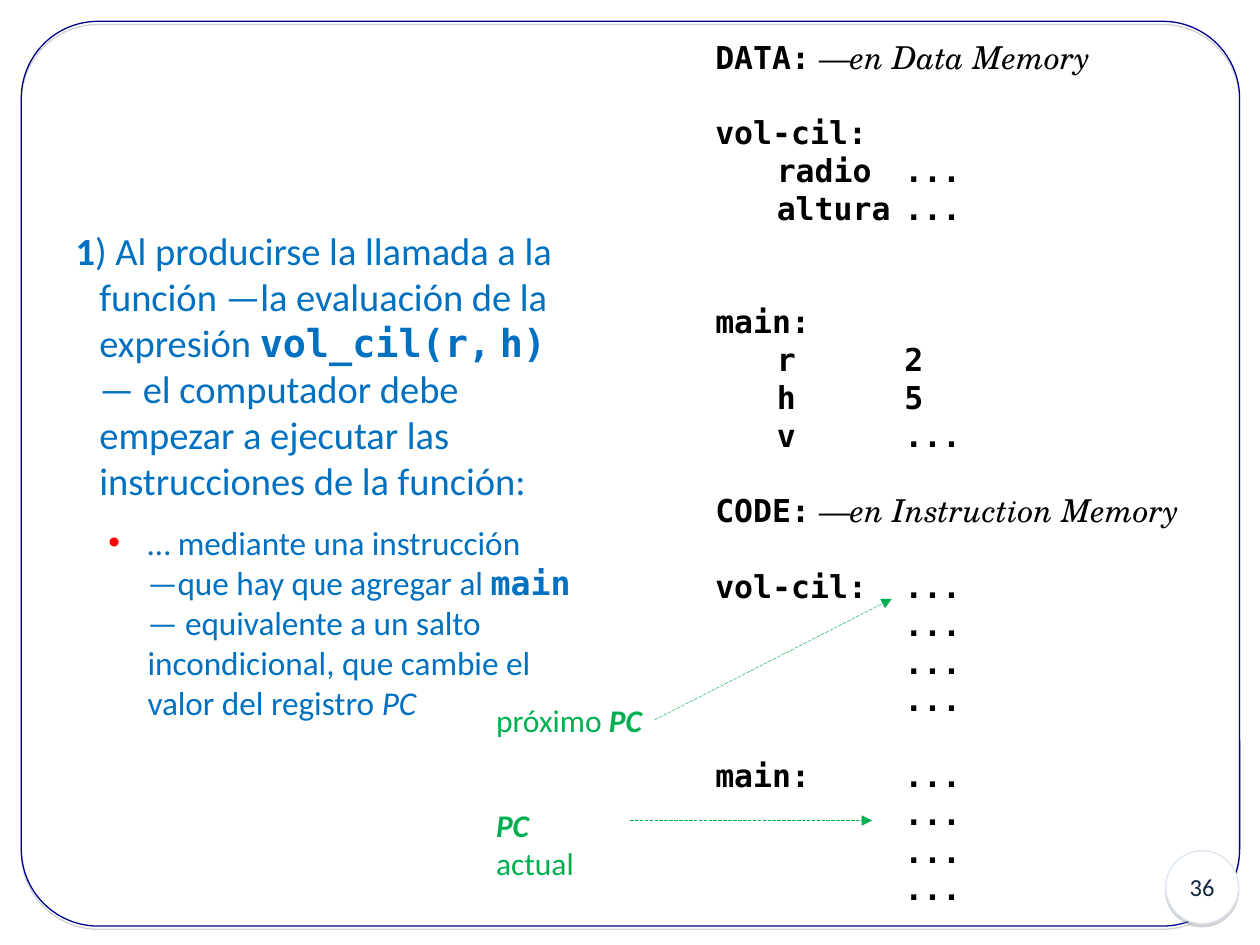
import pptx
import pptx.dml.color
import pptx.enum.dml
import pptx.enum.shapes
import pptx.enum.text
import pptx.oxml
import pptx.oxml.ns
import pptx.util
from pptx.util import Cm

COLORS = {
    "frame": "000090", "badge": "FFFFFF", "badge_line": "DCE6F2", "badge_text": "10253F",
    "body": "0070C0", "bullet": "FF0000", "code": "000000", "pointer": "00B050",
    "shadow": "808080",
}
SANS, MONO, SERIF = "Calibri", "DejaVu Sans Mono", "TeX Gyre Schola"
CODE_LEADING = 21.6
CODE_TABS = (Cm(1.24), Cm(3.81))

DATA_ROWS = [
    (0, "DATA:", "en Data Memory"),
    (1, "vol-cil:", ""),
    (0, "\tradio\t...", ""),
    (0, "\taltura\t...", ""),
    (2, "main:", ""),
    (0, "\tr\t2", ""),
    (0, "\th\t5", ""),
    (0, "\tv\t...", ""),
]
CONTINUATION = [(0, "\t\t...", "")] * 3
CODE_ROWS = [
    (1, "CODE:", "en Instruction Memory"),
    (1, "vol-cil:\t...", ""), *CONTINUATION,
    (1, "main:\t...", ""), *CONTINUATION,
]


def rgb(name):
    """Return the named colour."""
    return pptx.dml.color.RGBColor.from_string(COLORS[name])


def add_xml(parent, tag, content="", **attributes):
    """Append a drawing element and return it."""
    listed = " ".join(f'{key}="{value}"' for key, value in attributes.items())
    namespace = pptx.oxml.ns.nsdecls("a")
    element = pptx.oxml.parse_xml(f"<a:{tag} {namespace} {listed}>{content}</a:{tag}>")
    parent.append(element)
    return element


def add_run(paragraph, text, size, color, font=SANS, bold=False, italic=False):
    """Add one formatted run."""
    run = paragraph.add_run()
    run.text = text
    run.font.size = pptx.util.Pt(size)
    run.font.name = font
    run.font.bold = bold
    run.font.italic = italic
    run.font.color.rgb = rgb(color)


def add_shadowed_shape(slide, kind, box, line, fill=None):
    """Add an outlined preset shape with a soft drop shadow."""
    shape = slide.shapes.add_shape(kind, *box)
    if fill:
        shape.fill.solid()
        shape.fill.fore_color.rgb = rgb(fill)
    else:
        shape.fill.background()
    shape.line.color.rgb = rgb(line)
    shape.line.width = pptx.util.Pt(0.75)
    shape.shadow.inherit = False
    effects = shape._element.spPr.find(pptx.oxml.ns.qn("a:effectLst"))
    tint = f'<a:srgbClr val="{COLORS["shadow"]}"><a:alpha val="35000"/></a:srgbClr>'
    add_xml(effects, "outerShdw", tint, dist=pptx.util.Pt(1.8), dir=5400000, rotWithShape=0)
    return shape


def format_paragraph(paragraph, leading, before, margin, indent):
    """Set the spacing and indents of a body paragraph."""
    paragraph.line_spacing = pptx.util.Pt(leading)
    paragraph.space_before = pptx.util.Pt(before)
    properties = paragraph._p.get_or_add_pPr()
    properties.set("marL", str(margin))
    properties.set("indent", str(indent))
    return properties


def fill_body(body):
    """Write the explanation into the body placeholder."""
    body.left, body.top, body.width, body.height = Cm(1.27), Cm(0.84), Cm(10.49), Cm(17.45)
    frame = body.text_frame
    frame.word_wrap = True
    frame.auto_size = pptx.enum.text.MSO_AUTO_SIZE.NONE
    frame.vertical_anchor = pptx.enum.text.MSO_ANCHOR.MIDDLE

    step = frame.paragraphs[0]
    add_xml(format_paragraph(step, 26.4, 0, Cm(0.48), Cm(-0.48)), "buNone")
    add_run(step, "1", 22, "body", bold=True)
    add_run(step, ") Al producirse la llamada a la función —la evaluación de la expresión ", 22, "body")
    add_run(step, "vol_cil(r,", 22, "body", MONO, bold=True)
    add_run(step, " ", 22, "body")
    add_run(step, "h)", 22, "body", MONO, bold=True)
    add_run(step, "— el computador debe empezar a ejecutar las instrucciones de la función:", 22, "body")

    detail = frame.add_paragraph()
    detail.level = 1
    properties = format_paragraph(detail, 22.9, 10.5, Cm(1.45), Cm(-0.79))
    add_xml(properties, "buClr", f'<a:srgbClr val="{COLORS["bullet"]}"/>')
    add_xml(properties, "buFont", typeface="Arial")
    add_xml(properties, "buChar", char="•")
    add_run(detail, "… mediante una instrucción", 19, "body")
    detail.add_line_break()
    add_run(detail, "—que hay que agregar al ", 19, "body")
    add_run(detail, "main", 19, "body", MONO, bold=True)
    add_run(detail, "— equivalente a un salto incondicional, que cambie el valor del registro ", 19, "body")
    add_run(detail, "PC", 19, "body", italic=True)


def add_listing(slide, rows):
    """Add the memory listing, with gaps given in lines before each row."""
    frame = slide.shapes.add_textbox(Cm(14.17), Cm(0.64), Cm(10.2), Cm(17.78)).text_frame
    frame.word_wrap = True
    for index, (gap, text, note) in enumerate(rows):
        paragraph = frame.add_paragraph() if index else frame.paragraphs[0]
        paragraph.line_spacing = pptx.util.Pt(CODE_LEADING)
        paragraph.space_before = pptx.util.Pt(gap * CODE_LEADING)
        tabs = add_xml(paragraph._p.get_or_add_pPr(), "tabLst")
        for position in CODE_TABS:
            add_xml(tabs, "tab", pos=position, algn="l")
        add_run(paragraph, text, 18, "code", MONO, bold=True)
        if note:
            add_run(paragraph, " —", 18, "code", SERIF)
            add_run(paragraph, note, 18, "code", SERIF, italic=True)


def add_label(slide, top, width, parts):
    """Add a pointer label from (text, emphasised) parts."""
    label = slide.shapes.add_textbox(Cm(9.75), top, width, Cm(1.02))
    label.text_frame.word_wrap = False
    for text, emphasised in parts:
        add_run(label.text_frame.paragraphs[0], text, 18, "pointer",
                bold=emphasised, italic=emphasised)
    return label


def add_arrow(slide, start, end):
    """Add a thin dashed arrow."""
    arrow = slide.shapes.add_connector(pptx.enum.shapes.MSO_CONNECTOR.STRAIGHT, *start, *end)
    arrow.line.color.rgb = rgb("pointer")
    arrow.line.width = pptx.util.Pt(0.25)
    arrow.line.dash_style = pptx.enum.dml.MSO_LINE.LONG_DASH
    add_xml(arrow.line._get_or_add_ln(), "tailEnd", type="triangle")
    add_xml(arrow._element.spPr, "effectLst")
    return arrow


def add_frame_and_number(slide):
    """Add the rounded slide frame and the page number badge."""
    kinds = pptx.enum.shapes.MSO_SHAPE
    border = add_shadowed_shape(slide, kinds.ROUNDED_RECTANGLE,
                                (Cm(0.43), Cm(0.43), Cm(24.56), Cm(18.24)), "frame")
    border.adjustments[0] = 0.085
    badge = add_shadowed_shape(slide, kinds.OVAL,
                               (Cm(23.5), Cm(17.15), Cm(1.47), Cm(1.47)), "badge_line", "badge")
    badge.text_frame.word_wrap = False
    badge.text_frame.vertical_anchor = pptx.enum.text.MSO_ANCHOR.MIDDLE
    paragraph = badge.text_frame.paragraphs[0]
    paragraph.alignment = pptx.enum.text.PP_ALIGN.CENTER
    add_run(paragraph, "36", 14, "badge_text")


def main():
    """Build the slide and save it."""
    presentation = pptx.Presentation()
    presentation.slide_width, presentation.slide_height = Cm(25.4), Cm(19.05)
    slide = presentation.slides.add_slide(presentation.slide_layouts[1])
    title = slide.shapes.title._element
    title.getparent().remove(title)
    add_frame_and_number(slide)
    fill_body(slide.placeholders[1])
    add_listing(slide, DATA_ROWS + CODE_ROWS)
    add_label(slide, Cm(16.13), Cm(2.87), [("PC", True), (" actual", False)])
    upcoming = add_label(slide, Cm(14), Cm(3.45), [("próximo ", False), ("PC", True)])
    add_arrow(slide, (Cm(12.7), Cm(16.54)), (Cm(17.58), Cm(16.54)))
    jump = add_arrow(slide, (Cm(13.2), Cm(14.51)), (Cm(17.98), Cm(12.07)))
    jump.begin_connect(upcoming, 3)
    presentation.save("out.pptx")


if __name__ == "__main__":
    main()
